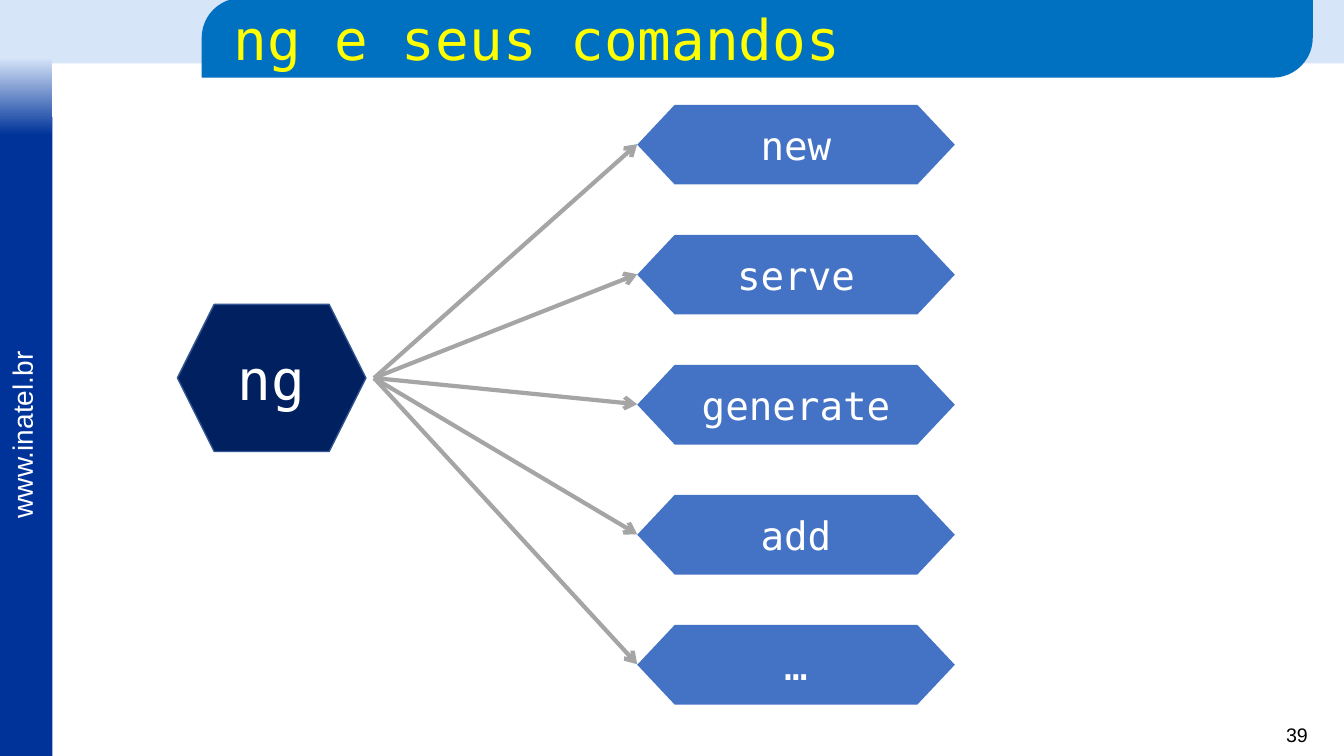
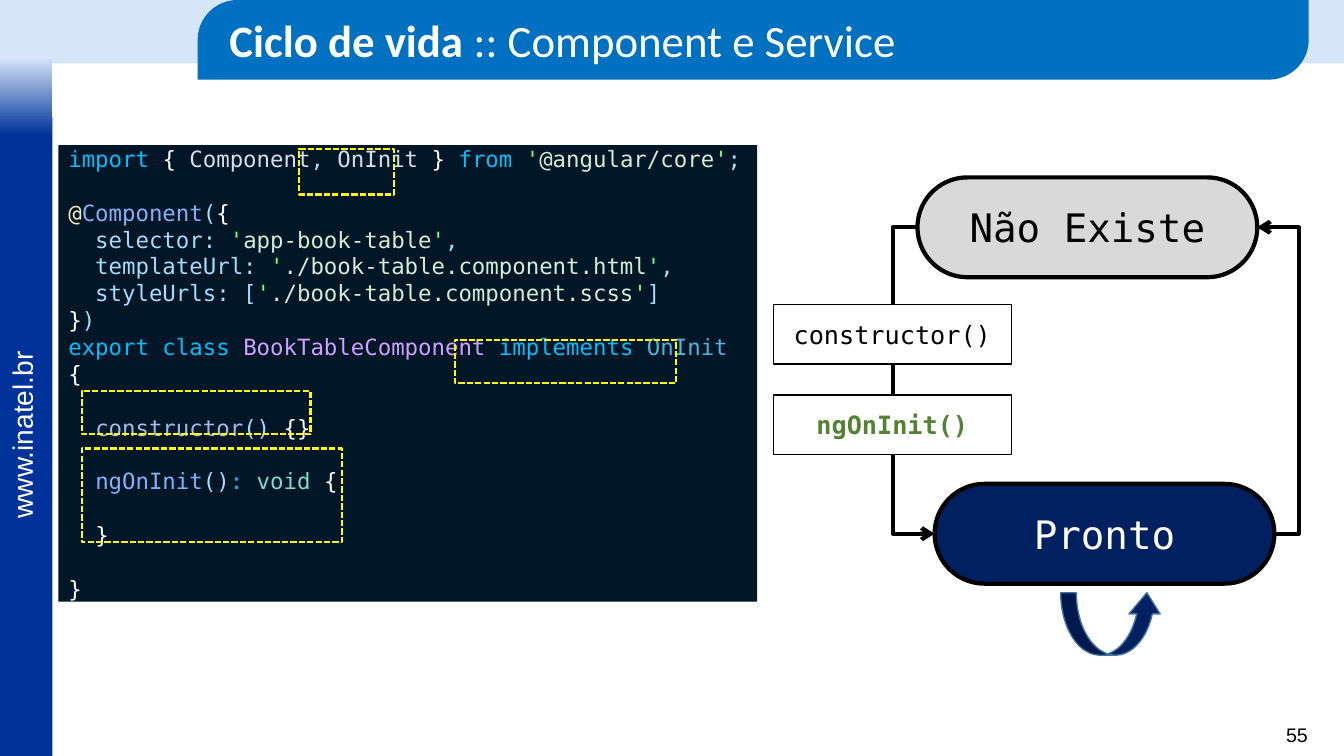
import lxml.etree
import pptx
import pptx.util
import pptx.dml.color
import pptx.enum.dml
import pptx.enum.shapes
import pptx.enum.text
import pptx.oxml.ns

PX = 9144
RGB = pptx.dml.color.RGBColor
KIND = pptx.enum.shapes.MSO_SHAPE
LINK = pptx.enum.shapes.MSO_CONNECTOR
ALIGN = pptx.enum.text.PP_ALIGN
MONO = "DejaVu Sans Mono"

WHITE = RGB(0xFF, 0xFF, 0xFF)
BLACK = RGB(0, 0, 0)
PALE = RGB(0xD7, 0xE5, 0xF9)
ROYAL = RGB(0x00, 0x33, 0x99)
BAR = RGB(0x00, 0x70, 0xC0)
YELLOW = RGB(0xFF, 0xFF, 0x00)
NAVY = RGB(0x00, 0x20, 0x60)
BLUE = RGB(0x44, 0x72, 0xC4)
RIM = RGB(0x32, 0x54, 0x91)
EDGE = RGB(0x43, 0x73, 0x9E)
GRAY = RGB(0xA5, 0xA5, 0xA5)
SILVER = RGB(0xD9, 0xD9, 0xD9)
GREEN = RGB(0x54, 0x82, 0x35)
NIGHT = RGB(0x01, 0x16, 0x27)

WORD = RGB(0x00, 0xBF, 0xF9)
PLAIN = RGB(0xD6, 0xDE, 0xEB)
SIGN = RGB(0xA7, 0xDB, 0xF7)
QUOTE = RGB(0x6B, 0xFF, 0x81)
STRING = RGB(0xD3, 0xEE, 0xD6)
CREAM = RGB(0xF7, 0xEC, 0xB5)
CALL = RGB(0x87, 0xAF, 0xF4)
CLASS = RGB(0xD2, 0x9F, 0xFC)
BASE = RGB(0x4F, 0xB4, 0xD8)
BUILD = RGB(0xA1, 0xBD, 0xE6)
TYPE = RGB(0x7F, 0xDB, 0xCA)


def quoted(text):
    return [("'", QUOTE), (text, STRING), ("'", QUOTE)]


CODE = [
    [("import ", WORD), ("{ ", WHITE), ("Component", PLAIN), (", ", SIGN),
     ("OnInit ", PLAIN), ("} ", WHITE), ("from ", WORD),
     *quoted("@angular/core"), (";", SIGN)],
    [("\n", SIGN), ("@", CREAM), ("Component", CALL), ("(", SIGN), ("{", WHITE)],
    [("  selector: ", SIGN), *quoted("app-book-table"), (",", SIGN)],
    [("  templateUrl: ", SIGN), *quoted("./book-table.component.html"), (",", SIGN)],
    [("  styleUrls: [", SIGN), *quoted("./book-table.component.scss"), ("]", SIGN)],
    [("}", WHITE), (")", SIGN)],
    [("export class ", WORD), ("BookTableComponent ", CLASS),
     ("implements ", WORD), ("OnInit ", BASE), ("{", WHITE)],
    [("\n", SIGN), ("  ", SIGN), ("constructor", BUILD), ("() ", SIGN), ("{}", WHITE)],
    [("\n", SIGN), ("  ", SIGN), ("ngOnInit", CALL), ("()", SIGN), (": ", WORD),
     ("void ", TYPE), ("{", WHITE)],
    [("\n", SIGN), ("  ", SIGN), ("}", WHITE)],
    [("\n", SIGN), ("}", WHITE)],
]


def scale(*sizes):
    return [size * PX for size in sizes]


def inset(box, x, y, w, h):
    return box[0] + x, box[1] + y, w, h


def style(par, size, color=None, face=MONO, bold=None, align=ALIGN.LEFT):
    par.alignment = align
    par.font.size = pptx.util.Pt(size)
    par.font.name = face
    if bold is not None:
        par.font.bold = bold
    if color is not None:
        par.font.color.rgb = color


def stroke(line, color, width):
    line.color.rgb = color
    line.width = pptx.util.Pt(width)


def draw(slide, kind, box, fill=None, line=None, width=1, adjust=()):
    shape = slide.shapes.add_shape(kind, *scale(*box))
    shape.shadow.inherit = False
    if fill is None:
        shape.fill.background()
    else:
        shape.fill.solid()
        shape.fill.fore_color.rgb = fill
    if line is None:
        shape.line.fill.background()
    else:
        stroke(shape.line, line, width)
    for i, value in enumerate(adjust):
        shape.adjustments[i] = value
    frame = shape.text_frame
    frame.word_wrap = True
    frame.vertical_anchor = pptx.enum.text.MSO_ANCHOR.MIDDLE
    return shape


def label(shape, text, size, color, bold=None):
    par = shape.text_frame.paragraphs[0]
    par.text = text
    style(par, size, color, bold=bold, align=ALIGN.CENTER)


def note(slide, box, text, size, color, align):
    shape = slide.shapes.add_textbox(*scale(*box))
    frame = shape.text_frame
    frame.word_wrap = True
    frame.auto_size = pptx.enum.text.MSO_AUTO_SIZE.SHAPE_TO_FIT_TEXT
    frame.text = text
    style(frame.paragraphs[0], size, color, "Arial", align=align)
    return shape


def arrow(slide, kind, start, end, color):
    link = slide.shapes.add_connector(kind, *scale(*start, *end))
    stroke(link.line, color, 3)
    qn = pptx.oxml.ns.qn
    line = link.line._get_or_add_ln()
    lxml.etree.SubElement(line, qn("a:tailEnd"), type="arrow")
    lxml.etree.SubElement(link._element.spPr, qn("a:effectLst"))
    return link


def bend(slide, first, a, last, b):
    link = arrow(slide, LINK.ELBOW, (0, 0), (1, 1), BLACK)
    link.begin_connect(first, a)
    link.end_connect(last, b)
    qn = pptx.oxml.ns.qn
    guides = link._element.spPr.find(qn("a:prstGeom")).get_or_add_avLst()
    lxml.etree.SubElement(guides, qn("a:gd"), name="adj1", fmla="val -141700")


def page(deck, number):
    slide = deck.slides.add_slide(deck.slide_layouts[6])
    draw(slide, KIND.RECTANGLE, (0, 0, 1333, 63), PALE)
    draw(slide, KIND.RECTANGLE, (0, 116, 52, 634), ROYAL)
    fade = draw(slide, KIND.RECTANGLE, (0, 57, 52, 77), PALE)
    fade.fill.gradient()
    fade.fill.gradient_angle = 270
    for stop, color in zip(fade.fill.gradient_stops, (PALE, ROYAL)):
        stop.color.rgb = color
    for stop, place in zip(fade.fill.gradient_stops, (0, 1)):
        stop.position = place
    site = note(slide, (-72, 409, 187, 43), "www.inatel.br", 20, WHITE, ALIGN.LEFT)
    site.rotation = 270
    note(slide, (1242, 712, 65, 34), str(number), 14, BLACK, ALIGN.RIGHT)
    return slide


def title(slide, x, y, parts, size, color, face):
    bar = draw(slide, KIND.ROUND_2_DIAG_RECTANGLE, (x, y, 1102, 79), BAR,
               adjust=(0.5, 0))
    bar.text_frame.margin_left = 20 * PX
    par = bar.text_frame.paragraphs[0]
    for text, bold in parts:
        run = par.add_run()
        run.text = text
        if bold:
            run.font.bold = True
    style(par, size, color, face)


def tree(slide, box, root, leaves):
    x, y = box[:2]
    start = x + 195, y + 271
    for i, text in enumerate(leaves):
        top = 129 * i
        arrow(slide, LINK.STRAIGHT, start, (x + 456, y + top + 39), GRAY)
        leaf = draw(slide, KIND.HEXAGON, inset(box, 456, top, 315, 79), BLUE,
                    adjust=(0.47,))
        label(leaf, text, 28, WHITE)
    stem = draw(slide, KIND.HEXAGON, inset(box, 0, 198, 187, 146), NAVY, RIM)
    label(stem, root, 40, WHITE)


def code(slide, box, rows, marks):
    frame = draw(slide, KIND.RECTANGLE, box, NIGHT).text_frame
    for i, row in enumerate(rows):
        par = frame.add_paragraph() if i else frame.paragraphs[0]
        style(par, 16)
        for text, color in row:
            if text == "\n":
                par.add_line_break()
                continue
            run = par.add_run()
            run.text = text
            run.font.color.rgb = color
    for mark in marks:
        frame = draw(slide, KIND.RECTANGLE, inset(box, *mark), None, YELLOW, 1.5)
        frame.line.dash_style = pptx.enum.dml.MSO_LINE.SQUARE_DOT


def cycle(slide, box):
    states = []
    for x, y, text, fill, color in (
        (143, 0, "Não Existe", SILVER, BLACK),
        (160, 304, "Pronto", NAVY, WHITE),
    ):
        state = draw(slide, KIND.ROUNDED_RECTANGLE, inset(box, x, y, 337, 99),
                     fill, BLACK, 3, (0.5,))
        label(state, text, 28, color)
        states.append(state)
    none, ready = states
    bend(slide, none, 1, ready, 1)
    bend(slide, ready, 3, none, 3)
    draw(slide, KIND.CURVED_UP_ARROW, inset(box, 285, 412, 101, 62), NAVY, EDGE,
         adjust=(0.25, 0.5, 0.34))
    steps = ("constructor()", BLACK, None), ("ngOnInit()", GREEN, True)
    for i, (text, color, bold) in enumerate(steps):
        step = draw(slide, KIND.RECTANGLE, inset(box, 0, 126 + 90 * i, 236, 59),
                    WHITE, BLACK)
        label(step, text, 18, color, bold)


def main():
    deck = pptx.Presentation()
    deck.slide_width, deck.slide_height = scale(1333, 750)

    slide = page(deck, 39)
    title(slide, 200, -2, [("ng e seus comandos", False)], 40, YELLOW, MONO)
    tree(slide, (176, 104, 771, 595), "ng", ["new", "serve", "generate", "add", "…"])

    slide = page(deck, 55)
    title(slide, 196, 0, [("Ciclo de vida ", True), (":: Component e Service", False)],
          32, WHITE, "Calibri")
    code(slide, (58, 144, 693, 453), CODE, [
        (23, 301, 258, 93), (23, 244, 227, 43),
        (239, 4, 94, 45), (393, 193, 220, 43),
    ])
    cycle(slide, (767, 176, 522, 474))

    deck.save("out.pptx")


if __name__ == "__main__":
    main()
